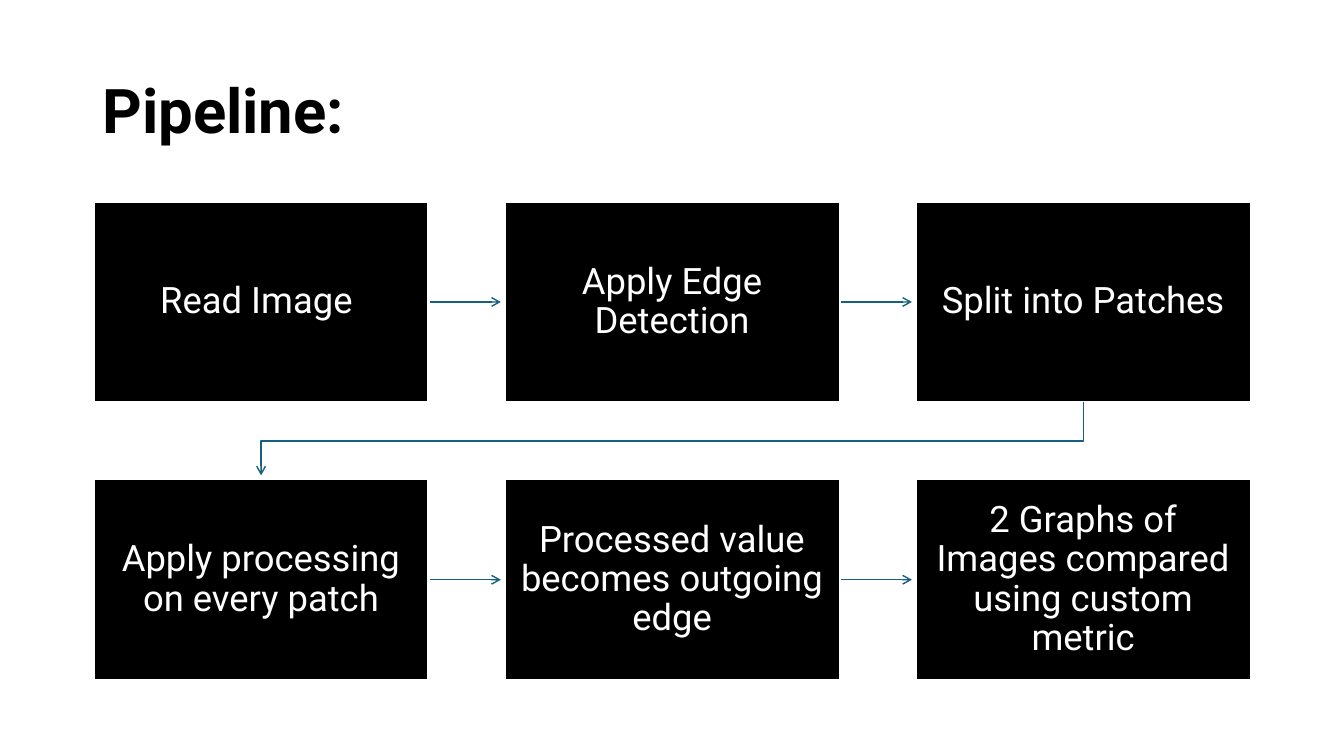
"""Build the pipeline slide: six steps in two rows, joined by arrows."""
from lxml.etree import SubElement
from pptx import Presentation
from pptx.dml.color import RGBColor
from pptx.enum.shapes import MSO_CONNECTOR as Connector, MSO_SHAPE as Shape
from pptx.enum.text import MSO_ANCHOR as Anchor, PP_ALIGN as Align
from pptx.oxml.ns import qn
from pptx.util import Cm, Pt


def write_text(shape, text, color, frame_format, paragraph_format, font_format):
    """Fill a shape with one formatted paragraph."""
    frame = shape.text_frame
    paragraph = frame.paragraphs[0]
    run = paragraph.add_run()
    run.text = text
    run.font.color.rgb = RGBColor.from_string(color)
    for target, values in ((frame, frame_format), (paragraph, paragraph_format),
                           (run.font, font_format)):
        for name, value in values.items():
            setattr(target, name, value)


def style_arrow(shape):
    """Give a line its colour, width and arrowhead, without a shadow."""
    shape.line.color.rgb = RGBColor.from_string("156082")
    shape.line.width = Pt(1)
    properties = shape._element.spPr
    SubElement(properties.find(qn("a:ln")), qn("a:tailEnd"), type="arrow")
    SubElement(properties, qn("a:effectLst"))


STEPS = [
    ["Read Image ", "Apply Edge Detection", "Split into Patches"],
    ["Apply processing on every patch", "Processed value becomes outgoing edge",
     "2 Graphs of Images compared using custom metric"],
]
LEFT, TOP = Cm(2.36), Cm(5.08)
BOX_WIDTH, BOX_HEIGHT = Cm(8.44), Cm(5.06)
COLUMN_STEP, ROW_STEP = Cm(10.36), Cm(7)
ARROW_GAP = Cm(0.1)

presentation = Presentation()
presentation.slide_width, presentation.slide_height = Cm(33.87), Cm(19.05)
slide = presentation.slides.add_slide(presentation.slide_layouts[6])
shapes = slide.shapes

title = shapes.add_textbox(Cm(2.33), Cm(1.01), Cm(29.21), Cm(3.68))
write_text(title, "Pipeline:", "000000",
           {"word_wrap": True, "vertical_anchor": Anchor.MIDDLE},
           {"line_spacing": 0.9},
           {"name": "Roboto", "size": Pt(44), "bold": True})

for row, texts in enumerate(STEPS):
    top = TOP + row * ROW_STEP
    middle = top + BOX_HEIGHT // 2
    for column, text in enumerate(texts):
        left = LEFT + column * COLUMN_STEP
        if column < len(texts) - 1:
            arrow = shapes.add_connector(
                Connector.STRAIGHT, left + BOX_WIDTH, middle,
                left + COLUMN_STEP - ARROW_GAP, middle)
            style_arrow(arrow)

        box = shapes.add_shape(Shape.RECTANGLE, left, top, BOX_WIDTH, BOX_HEIGHT)
        box.shadow.inherit = False
        box.fill.solid()
        box.fill.fore_color.rgb = RGBColor.from_string("000000")
        box.line.color.rgb = RGBColor.from_string("FFFFFF")
        box.line.width = Pt(1.5)
        write_text(box, text, "FFFFFF",
                   {"word_wrap": True, "vertical_anchor": Anchor.MIDDLE,
                    "margin_left": Cm(0.41), "margin_right": Cm(0.41),
                    "margin_top": Cm(0.43), "margin_bottom": Cm(0.43)},
                   {"alignment": Align.CENTER, "line_spacing": 0.9},
                   {"name": "Roboto", "size": Pt(26)})

first_center = LEFT + BOX_WIDTH // 2
last_center = first_center + 2 * COLUMN_STEP
first_row_bottom = TOP + BOX_HEIGHT
turn = (first_row_bottom + TOP + ROW_STEP) // 2
builder = shapes.build_freeform(last_center, first_row_bottom)
builder.add_line_segments(
    [(last_center, turn), (first_center, turn),
     (first_center, TOP + ROW_STEP - ARROW_GAP)], close=False)
return_arrow = builder.convert_to_shape()
return_arrow.fill.background()
style_arrow(return_arrow)

presentation.save("out.pptx")
